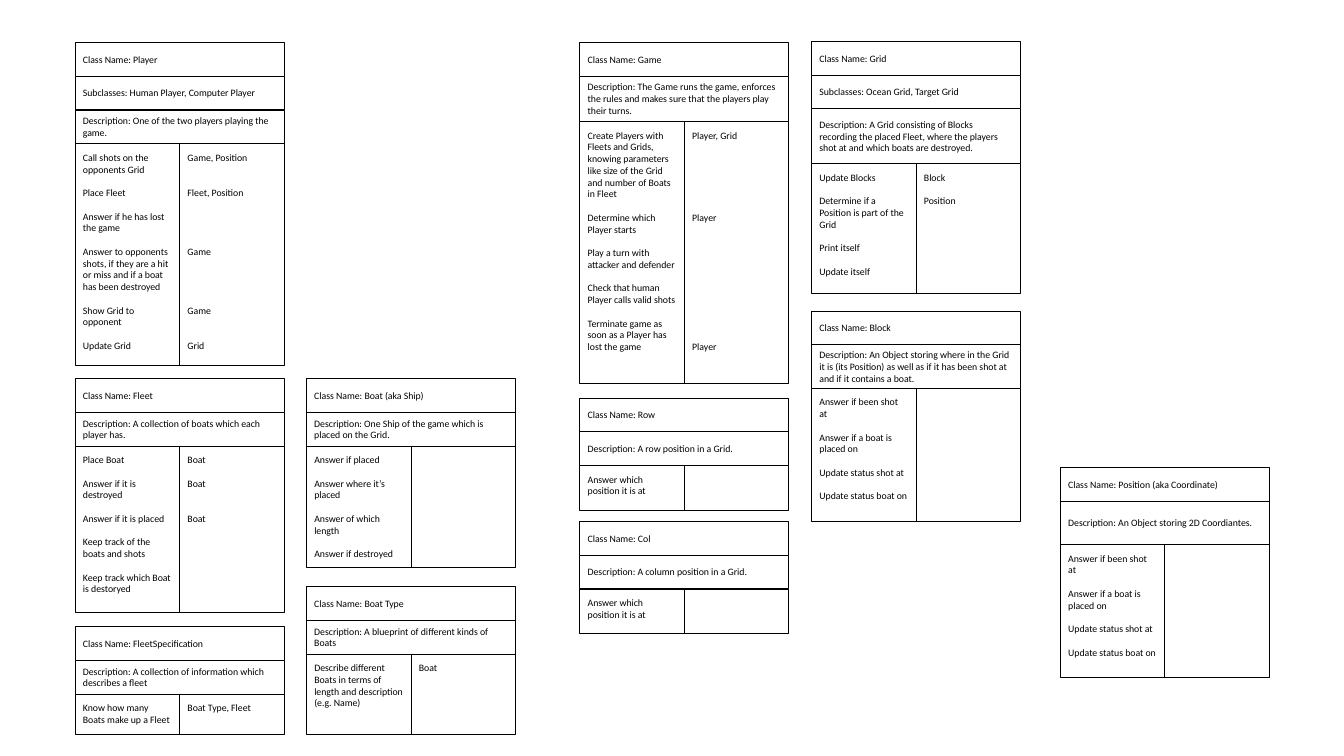
from pptx import Presentation
from pptx import util as u
from pptx.dml.color import RGBColor
from pptx.enum import shapes, text

CARD_WIDTH = 5.27
ROW_HEIGHT = 0.85
INSET = 0.2
BLANK_LINE = 8.4  # points
BLACK = "000000"


def color(value):
    return RGBColor.from_string(value)


def add_cell(group, left, top, width, height, entries, heading=False):
    """Draw one box; entries are pairs of blank lines before and text."""
    shape = group.shapes.add_shape(shapes.MSO_SHAPE.RECTANGLE, u.Cm(left), u.Cm(top),
                                   u.Cm(width), u.Cm(height))
    shape.shadow.inherit = False
    shape.fill.background()
    shape.line.color.rgb = color(BLACK)
    shape.line.width = u.Pt(0.5)
    frame = shape.text_frame
    frame.word_wrap = True
    frame.margin_left = frame.margin_right = u.Cm(INSET)
    frame.margin_top = frame.margin_bottom = u.Cm(0 if heading else INSET)
    frame.vertical_anchor = text.MSO_ANCHOR.MIDDLE if heading else text.MSO_ANCHOR.TOP
    for index, (blank_lines, wording) in enumerate(entries):
        paragraph = frame.add_paragraph() if index else frame.paragraphs[0]
        paragraph.alignment = text.PP_ALIGN.LEFT
        paragraph.space_before = u.Pt(blank_lines * BLANK_LINE)
        run = paragraph.add_run()
        run.text = wording
        run.font.name = "Calibri"
        run.font.size = u.Pt(7)
        run.font.color.rgb = color(BLACK)


# Card columns and shared wording
FLEET_X, BOAT_X, GAME_X, GRID_X, POSITION_X = 1.89, 7.72, 14.61, 20.45, 26.72
block_duties = ["Answer if been shot at", "Answer if a boat is placed on",
                "Update status shot at", "Update status boat on"]
line_duties = ["Answer which position it is at"]

# Left, top, name, subclasses, description, its height, body height, duties, collaborators
cards = [
    (FLEET_X, 1.07, "Player", "Human Player, Computer Player",
     "One of the two players playing the game.", ROW_HEIGHT, 5.59,
     ["Call shots on the opponents Grid", "Place Fleet", "Answer if he has lost the game",
      "Answer to opponents shots, if they are a hit or miss and if a boat has been destroyed",
      "Show Grid to opponent", "Update Grid"],
     [(0, "Game, Position"), (2, "Fleet, Position"), (4, "Game"), (4, "Game"), (2, "Grid")]),
    (FLEET_X, 9.54, "Fleet", None,
     "A collection of boats which each player has.", ROW_HEIGHT, 4.19,
     ["Place Boat", "Answer if it is destroyed", "Answer if it is placed",
      "Keep track of the boats and shots", "Keep track which Boat is destoryed"],
     [(0, "Boat"), (1, "Boat"), (2, "Boat")]),
    (FLEET_X, 15.79, "FleetSpecification", None,
     "A collection of information which describes a fleet", ROW_HEIGHT, 1.02,
     ["Know how many Boats make up a Fleet"], [(0, "Boat Type, Fleet")]),
    (BOAT_X, 9.54, "Boat (aka Ship)", None,
     "One Ship of the game which is placed on the Grid.", ROW_HEIGHT, 3.05,
     ["Answer if placed", "Answer where it’s placed", "Answer of which length",
      "Answer if destroyed"], []),
    (BOAT_X, 14.78, "Boat Type", None,
     "A blueprint of different kinds of Boats", ROW_HEIGHT, 2.03,
     ["Describe different Boats in terms of length and description (e.g. Name)"],
     [(0, "Boat")]),
    (GAME_X, 1.07, "Game", None,
     "The Game runs the game, enforces the rules and makes sure that the players "
     "play their turns.", 1.14, 6.6,
     ["Create Players with Fleets and Grids, knowing parameters like size of the Grid "
      "and number of Boats in Fleet", "Determine which Player starts",
      "Play a turn with attacker and defender", "Check that human Player calls valid shots",
      "Terminate game as soon as a Player has lost the game"],
     [(0, "Player, Grid"), (6, "Player"), (10, "Player")]),
    (GAME_X, 10.03, "Row", None, "A row position in a Grid.", ROW_HEIGHT, 1.12,
     line_duties, []),
    (GAME_X, 13.14, "Col", None, "A column position in a Grid.", ROW_HEIGHT, 1.12,
     line_duties, []),
    (GRID_X, 1.04, "Grid", "Ocean Grid, Target Grid",
     "A Grid consisting of Blocks recording the placed Fleet, where the players shot at "
     "and which boats are destroyed.", 1.38, 3.28,
     ["Update Blocks", "Determine if a Position is part of the Grid", "Print itself",
      "Update itself"], [(0, "Block"), (1, "Position")]),
    (GRID_X, 7.84, "Block", None,
     "An Object storing where in the Grid it is (its Position) as well as if it has been "
     "shot at and if it contains a boat.", 1.09, 3.35, block_duties, []),
    (POSITION_X, 11.78, "Position (aka Coordinate)", None,
     "An Object storing 2D Coordiantes.", 1.09, 3.35, block_duties, []),
]

presentation = Presentation()
presentation.slide_width = u.Cm(33.87)
presentation.slide_height = u.Cm(19.05)
slide = presentation.slides.add_slide(presentation.slide_layouts[6])

for (left, top, name, subclasses, description, description_height, body_height,
     duties, collaborators) in cards:
    group = slide.shapes.add_group_shape()

    # Full-width heading rows
    headings = [("Class Name: " + name, ROW_HEIGHT)]
    if subclasses:
        headings.append(("Subclasses: " + subclasses, ROW_HEIGHT))
    headings.append(("Description: " + description, description_height))
    for wording, height in headings:
        add_cell(group, left, top, CARD_WIDTH, height, [(0, wording)], heading=True)
        top += height

    # Duties on the left, collaborators on the right
    duty_entries = [(min(index, 1), duty) for index, duty in enumerate(duties)]
    for column, entries in enumerate([duty_entries, collaborators]):
        add_cell(group, left + column * CARD_WIDTH / 2, top, CARD_WIDTH / 2,
                 body_height, entries)

presentation.save("out.pptx")
